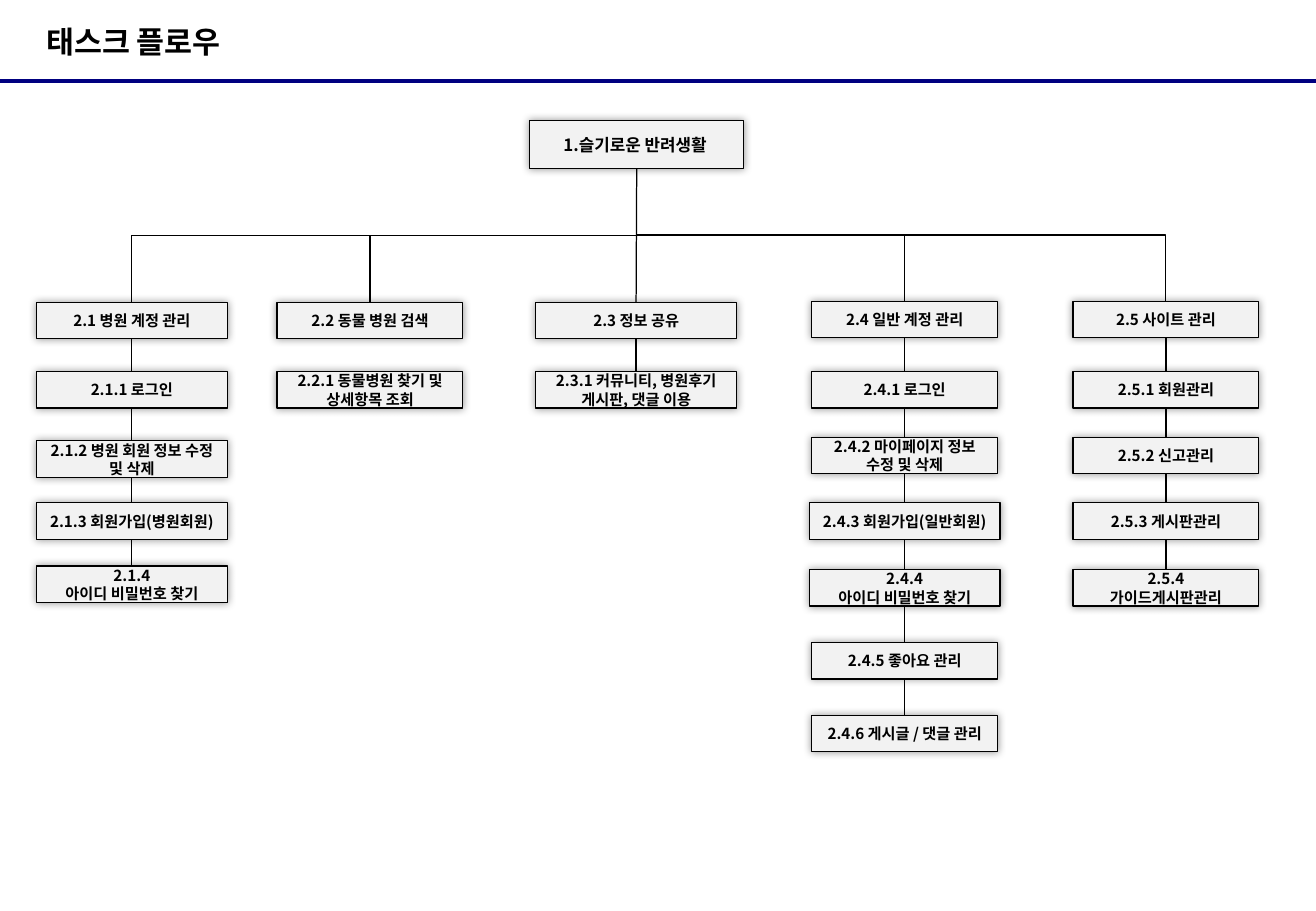
from dataclasses import dataclass

from lxml import etree
from pptx import Presentation
from pptx.dml.color import RGBColor
from pptx.enum.shapes import MSO_CONNECTOR, MSO_SHAPE
from pptx.enum.text import MSO_ANCHOR, PP_ALIGN
from pptx.oxml.ns import qn
from pptx.shapes.autoshape import Shape
from pptx.shapes.connector import Connector
from pptx.text.text import TextFrame
from pptx.util import Inches, Pt

STRAIGHT, ELBOW = MSO_CONNECTOR.STRAIGHT, MSO_CONNECTOR.ELBOW
RECT = MSO_SHAPE.RECTANGLE
MIDDLE = MSO_ANCHOR.MIDDLE
LEFT, CENTER = PP_ALIGN.LEFT, PP_ALIGN.CENTER
TOP_SITE, BOTTOM_SITE = 0, 2


@dataclass(frozen=True)
class Theme:
    ink: RGBColor = RGBColor(0x00, 0x00, 0x00)
    box: RGBColor = RGBColor(0xF2, 0xF2, 0xF2)
    rule: RGBColor = RGBColor(0x00, 0x00, 0x80)
    font: str = "Noto Sans CJK KR"
    title_font: str = "Arial"
    title_size: float = 18
    root_size: float = 10
    task_size: float = 9
    line: float = 0.75
    rule_line: float = 2.25


@dataclass(frozen=True)
class Task:
    top: float
    text: str
    widen: float = 0  # added on each side of the column width


@dataclass(frozen=True)
class Branch:
    left: float
    width: float
    tasks: tuple[Task, ...]
    linked: bool = True


THEME = Theme()
TASK_H = 0.3

BRANCHES = (
    Branch(0.3, 1.57, (
        Task(2.49, "2.1 병원 계정 관리"),
        Task(3.06, "2.1.1 로그인"),
        Task(3.63, "2.1.2 병원 회원 정보 수정 및 삭제"),
        Task(4.14, "2.1.3 회원가입(병원회원)"),
        Task(4.66, "2.1.4\n아이디 비밀번호 찾기"),
    )),
    Branch(2.28, 1.53, (
        Task(2.49, "2.2 동물 병원 검색"),
        Task(3.06, "2.2.1 동물병원 찾기 및 상세항목 조회"),
    ), linked=False),
    Branch(4.41, 1.65, (
        Task(2.49, "2.3 정보 공유"),
        Task(3.06, "2.3.1 커뮤니티, 병원후기 게시판, 댓글 이용"),
    )),
    Branch(6.68, 1.53, (
        Task(2.48, "2.4 일반 계정 관리"),
        Task(3.06, "2.4.1 로그인"),
        Task(3.6, "2.4.2 마이페이지 정보 수정 및 삭제"),
        Task(4.14, "2.4.3 회원가입(일반회원)", widen=0.02),
        Task(4.69, "2.4.4\n아이디 비밀번호 찾기", widen=0.02),
        Task(5.29, "2.4.5 좋아요 관리"),
        Task(5.89, "2.4.6 게시글 / 댓글 관리"),
    )),
    Branch(8.83, 1.53, (
        Task(2.48, "2.5 사이트 관리"),
        Task(3.06, "2.5.1 회원관리"),
        Task(3.6, "2.5.2 신고관리"),
        Task(4.14, "2.5.3 게시판관리"),
        Task(4.69, "2.5.4\n가이드게시판관리"),
    )),
)

prs = Presentation()
prs.slide_width, prs.slide_height = Inches(10.83), Inches(7.5)
slide = prs.slides.add_slide(prs.slide_layouts[6])
shapes = slide.shapes


def write(tf: TextFrame, text: str, *, size: float, font: str = THEME.font,
          align: PP_ALIGN = CENTER,
          insets: tuple[float, float, float, float] = (0.1, 0.05, 0.1, 0.05)) -> None:
    """Fill a frame, one paragraph per line of text."""
    tf.word_wrap = True
    tf.vertical_anchor = MIDDLE
    tf.margin_left, tf.margin_top, tf.margin_right, tf.margin_bottom = map(Inches, insets)
    for i, line in enumerate(text.split("\n")):
        p = tf.add_paragraph() if i else tf.paragraphs[0]
        p.alignment = align
        r = p.add_run()
        r.text = line
        r.font.name, r.font.size, r.font.bold = font, Pt(size), True
        r.font.color.rgb = THEME.ink
        ea = etree.SubElement(r.font._element, qn("a:ea"))
        ea.set("typeface", THEME.font)


def add_glow_shadow(sp: Shape) -> None:
    """Soft black shadow, 40 % opaque, centred behind the box."""
    sp.shadow.inherit = False
    effects = sp._element.spPr.find(qn("a:effectLst"))
    shadow = etree.SubElement(effects, qn("a:outerShdw"), blurRad=str(Pt(5)),
                              dist="0", dir="0", algn="ctr", rotWithShape="0")
    color = etree.SubElement(shadow, qn("a:srgbClr"), val=str(THEME.ink))
    etree.SubElement(color, qn("a:alpha"), val="40000")


def add_box(left: float, top: float, width: float, height: float) -> Shape:
    sp = shapes.add_shape(RECT, Inches(left), Inches(top), Inches(width), Inches(height))
    sp.fill.solid()
    sp.fill.fore_color.rgb = THEME.box
    sp.line.color.rgb = THEME.ink
    sp.line.width = Pt(THEME.line)
    add_glow_shadow(sp)
    return sp


def add_line(kind: MSO_CONNECTOR, color: RGBColor = THEME.ink,
             width: float = THEME.line) -> Connector:
    line = shapes.add_connector(kind, 0, 0, 0, 0)
    line.line.color.rgb = color
    line.line.width = Pt(width)
    etree.SubElement(line._element.spPr, qn("a:effectLst"))
    return line


def link(parent: Shape, child: Shape) -> None:
    """Straight line from the bottom of one box to the top of the next."""
    line = add_line(STRAIGHT)
    line.begin_connect(parent, BOTTOM_SITE)
    line.end_connect(child, TOP_SITE)


def branch_link(parent: Shape, child: Shape) -> None:
    """Elbow line that leaves downwards, so its frame is turned by a quarter."""
    line = add_line(ELBOW)
    x1, y1 = parent.left + parent.width // 2, parent.top + parent.height
    x2, y2 = child.left + child.width // 2, child.top
    drop, reach = y2 - y1, abs(x2 - x1)
    line.left, line.top = (x1 + x2 - drop) // 2, (y1 + y2 - reach) // 2
    line.width, line.height = drop, reach
    xfrm = line._element.spPr.find(qn("a:xfrm"))
    if x2 < x1:
        xfrm.set("rot", str(90 * 60000))
    else:
        xfrm.set("rot", str(270 * 60000))
        xfrm.set("flipH", "1")


# Header
rule = add_line(STRAIGHT, THEME.rule, THEME.rule_line)
rule.begin_x, rule.begin_y = 0, Inches(0.67)
rule.end_x, rule.end_y = prs.slide_width, Inches(0.67)
title = shapes.add_textbox(Inches(0.38), 0, Inches(7.08), Inches(0.68))
write(title.text_frame, "태스크 플로우", size=THEME.title_size, font=THEME.title_font,
      align=LEFT, insets=(0, 0, 0, 0))

# Root task
root = add_box(4.36, 0.99, 1.76, 0.4)
write(root.text_frame, "1.슬기로운 반려생활", size=THEME.root_size,
      insets=(0.07, 0.05, 0.1, 0.05))

# Branches
for index, branch in enumerate(BRANCHES):
    boxes = []
    for task in branch.tasks:
        sp = add_box(branch.left - task.widen, task.top,
                     branch.width + 2 * task.widen, TASK_H)
        write(sp.text_frame, task.text, size=THEME.task_size)
        boxes.append(sp)
    connect = link if index == len(BRANCHES) // 2 else branch_link
    connect(root, boxes[0])
    if branch.linked:
        for upper, lower in zip(boxes, boxes[1:]):
            link(upper, lower)

prs.save("out.pptx")
